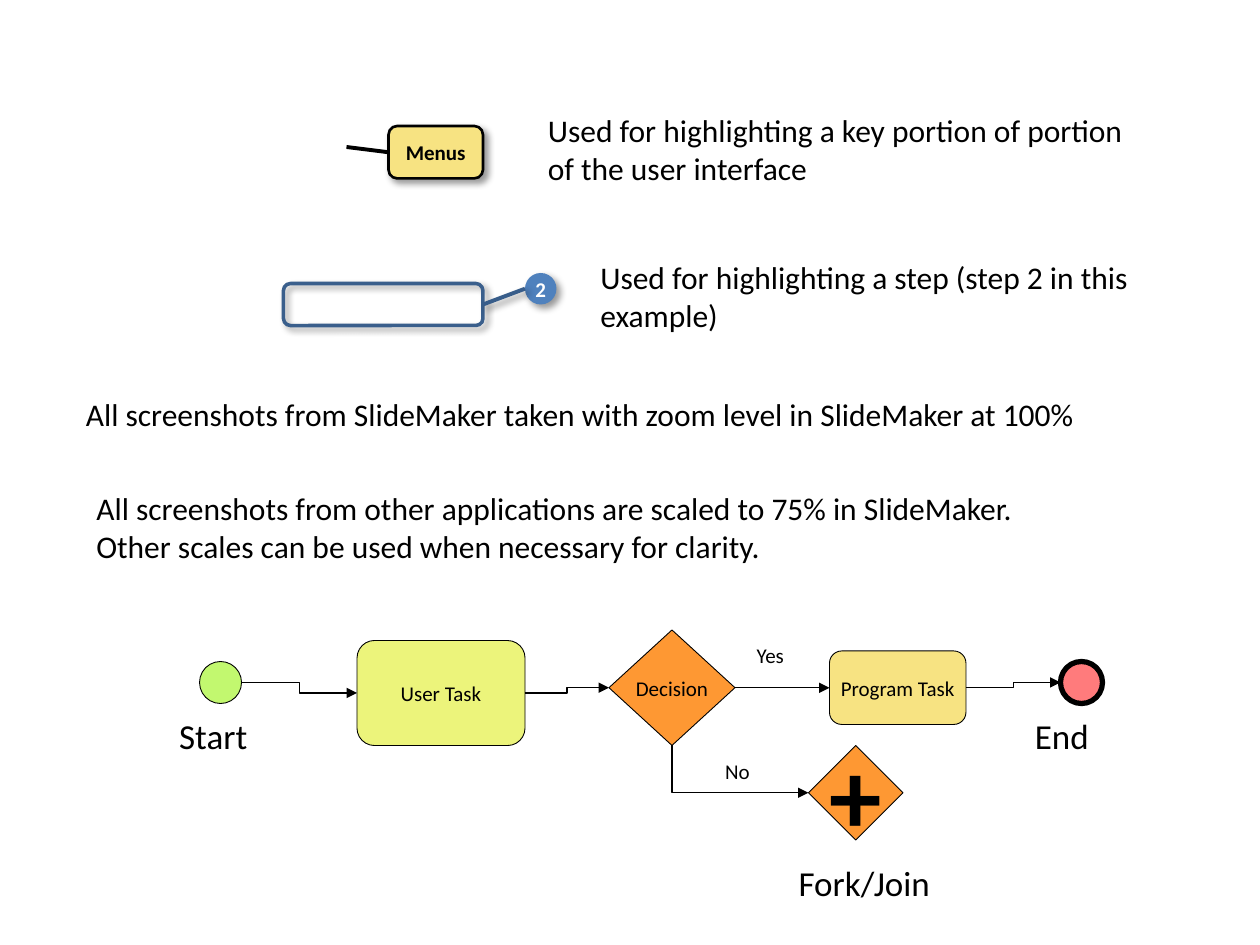
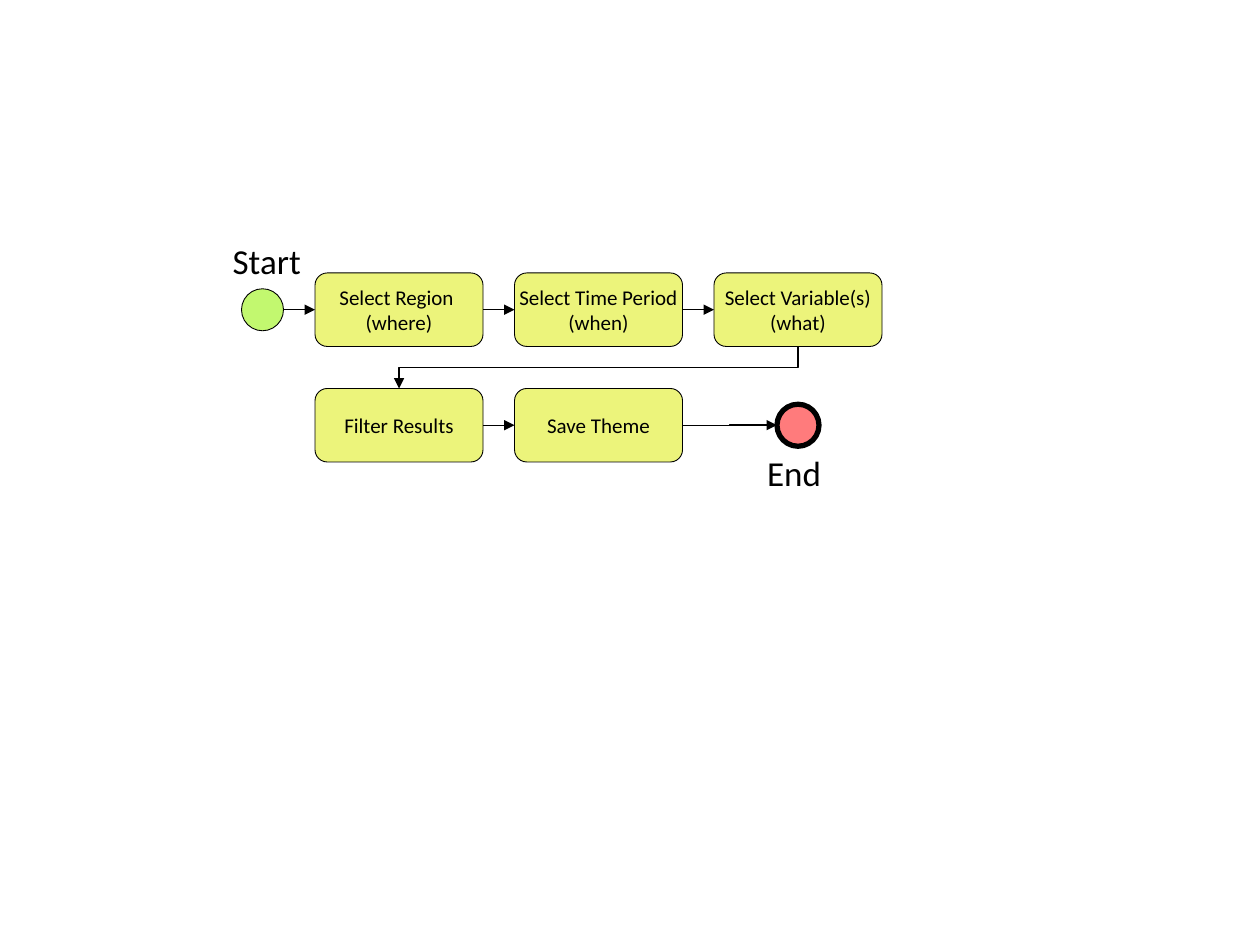
from dataclasses import dataclass

from lxml.etree import SubElement
from pptx import Presentation
from pptx.dml.color import RGBColor as RGB
from pptx.enum.shapes import MSO_CONNECTOR as LINE, MSO_SHAPE as SHAPE
from pptx.enum.text import MSO_ANCHOR as ANCHOR, MSO_AUTO_SIZE as FIT, PP_ALIGN as ALIGN
from pptx.oxml.ns import qn
from pptx.util import Cm, Pt

UNIT = 2.54 / 12                # the drawing grid: a twelfth of an inch, in cm
SIDES = ["top", "left", "bottom", "right"]


def grid(n):
    return Cm(n * UNIT)


@dataclass(frozen=True)
class Theme:
    font: str = "Calibri"
    ink: str = "000000"
    white: str = "FFFFFF"
    step: str = "4F81BD"
    step_frame: str = "3A5F8C"
    step_line: str = "385D8A"
    program: str = "F7E382"
    user: str = "ECF47B"
    decision: str = "FE9833"
    start: str = "C2F86F"
    end: str = "FF7B7C"
    small: float = 12
    body: float = 18
    label: float = 20
    plus: float = 60
    thin: float = 0.5
    flow: float = 0.75
    pointer: float = 2.25
    thick: float = 3


class Board:
    """Holds the style and the slide being drawn; places are in grid units."""

    def __init__(self, prs, theme):
        self.prs, self.t, self.slide = prs, theme, None

    def new_slide(self):
        self.slide = self.prs.slides.add_slide(self.prs.slide_layouts[6])

    # Shared formatting
    def set_text(self, sp, text, size, color=None, bold=False, align=ALIGN.LEFT,
                 flow=False, **frame):
        tf = sp.text_frame
        tf.text = text
        frame["word_wrap"] = frame.get("word_wrap", False)
        if flow:
            frame.update(margin_left=Cm(0.86), margin_right=Cm(0.86),
                         margin_top=Cm(0.43), margin_bottom=Cm(0.43))
        for name, value in frame.items():
            setattr(tf, name, value)
        font = {"name": self.t.font, "size": Pt(size), "bold": bold}
        for p in tf.paragraphs:
            p.alignment = align
            for r in p.runs:
                for name, value in font.items():
                    setattr(r.font, name, value)
                r.font.color.rgb = RGB.from_string(color or self.t.ink)

    def stroke(self, line, color, width):
        line.color.rgb = RGB.from_string(color)
        line.width = Pt(width)

    def effects(self, sp, shadow):
        """Replace the inherited shadow by none, or by a soft one."""
        sp_pr = sp.element.spPr
        for old in sp_pr.findall(qn("a:effectLst")):
            sp_pr.remove(old)
        effects = SubElement(sp_pr, qn("a:effectLst"))
        if shadow:
            outer = SubElement(effects, qn("a:outerShdw"), blurRad=str(Pt(4)),
                               dist=str(Pt(3)), dir="2700000", algn="tl", rotWithShape="0")
            black = SubElement(outer, qn("a:srgbClr"), val=self.t.ink)
            SubElement(black, qn("a:alpha"), val="40000")

    # Elements
    def shape(self, kind, box, fill=None, line=None, width=0.5, shadow=False):
        sp = self.slide.shapes.add_shape(kind, *map(grid, box))
        if fill:
            sp.fill.solid()
            sp.fill.fore_color.rgb = RGB.from_string(fill)
        else:
            sp.fill.background()
        if line:
            self.stroke(sp.line, line, width)
        else:
            sp.line.fill.background()
        self.effects(sp, shadow)
        return sp

    def text(self, box, text, size, flow=False):
        sp = self.slide.shapes.add_textbox(*map(grid, box))
        self.set_text(sp, text, size, flow=flow, auto_size=FIT.SHAPE_TO_FIT_TEXT)

    def label(self, x, y, w, text):
        self.text((x, y, w, 8.1), text, self.t.label, flow=True)

    def answer(self, x, y, text):
        self.text((x, y, 10.8, 6.6), text, self.t.small, flow=True)

    def task(self, box, text, fill):
        sp = self.shape(SHAPE.FLOWCHART_ALTERNATE_PROCESS, box, fill, self.t.ink, self.t.thin)
        self.set_text(sp, text, self.t.small, align=ALIGN.CENTER, flow=True,
                      vertical_anchor=ANCHOR.MIDDLE)
        return sp

    def decision(self, box, text, size, bold=False):
        sp = self.shape(SHAPE.FLOWCHART_DECISION, box, self.t.decision, self.t.ink, self.t.thin)
        self.set_text(sp, text, size, bold=bold, align=ALIGN.CENTER,
                      vertical_anchor=ANCHOR.MIDDLE)
        return sp

    def event(self, x, y, fill, width):
        return self.shape(SHAPE.FLOWCHART_CONNECTOR, (x, y, 4, 4), fill, self.t.ink, width)

    def pointer(self, ends, color, shadow=False):
        cx = self.slide.shapes.add_connector(LINE.STRAIGHT, *map(grid, ends))
        self.stroke(cx.line, color, self.t.pointer)
        self.effects(cx, shadow)

    def side(self, sp, side):
        mid_x, mid_y = sp.left + sp.width // 2, sp.top + sp.height // 2
        return {"top": (mid_x, sp.top), "left": (sp.left, mid_y),
                "bottom": (mid_x, sp.top + sp.height),
                "right": (sp.left + sp.width, mid_y)}[side]

    def link(self, a, b, leave="right", enter="left"):
        """Elbow arrow glued to one side of a and one side of b."""
        (x1, y1), (x2, y2) = self.side(a, leave), self.side(b, enter)
        cx = self.slide.shapes.add_connector(LINE.ELBOW, x1, y1, x2, y2)
        self.stroke(cx.line, self.t.ink, self.t.flow)
        SubElement(cx.element.spPr.find(qn("a:ln")), qn("a:tailEnd"), type="triangle")
        self.effects(cx, False)
        if leave == "bottom":
            self.turn_down(cx, x1, y1, x2, y2, enter)
        glue = cx.element.find(".//" + qn("p:cNvCxnSpPr"))
        for tag, sp, side in (("a:stCxn", a, leave), ("a:endCxn", b, enter)):
            # A circle has eight sites, the other shapes four
            step = 2 if sp.auto_shape_type == SHAPE.FLOWCHART_CONNECTOR else 1
            SubElement(glue, qn(tag), id=str(sp.shape_id), idx=str(SIDES.index(side) * step))

    def turn_down(self, cx, x1, y1, x2, y2, enter):
        """Turn a connector by a quarter so that it starts downwards."""
        w, h = y2 - y1, abs(x2 - x1)
        place = {"left": (x1 + x2 - w) // 2, "top": (y1 + y2 - h) // 2,
                 "width": w, "height": h}
        for name, value in place.items():
            setattr(cx, name, value)
        xfrm = cx.element.spPr.find(qn("a:xfrm"))
        xfrm.attrib.pop("flipH", None)
        if x2 > x1:
            xfrm.set("flipH", "1")
        xfrm.set("rot", "16200000" if x2 > x1 else "5400000")
        if enter == "left":
            cx.element.spPr.find(qn("a:prstGeom")).set("prst", "bentConnector2")


prs = Presentation()
prs.slide_width, prs.slide_height = Cm(25.4), Cm(19.05)
t = Theme()
b = Board(prs, t)

# Slide 1: legend of callouts
b.new_slide()
b.shape(SHAPE.ROUNDED_RECTANGLE, (27, 27, 19, 4), line=t.step_frame, width=2, shadow=True)
number = b.shape(SHAPE.OVAL, (50, 26, 3, 3), t.step, shadow=True)
b.set_text(number, "2", t.small, t.white, True, ALIGN.CENTER, vertical_anchor=ANCHOR.MIDDLE)
b.pointer((50, 27.5, 46, 29), t.step_line, shadow=True)
menus = b.shape(SHAPE.ROUNDED_RECTANGLE, (37, 12, 9, 5), t.program, t.ink, 1.5, shadow=True)
b.set_text(menus, "Menus", t.small, bold=True, align=ALIGN.CENTER,
           vertical_anchor=ANCHOR.MIDDLE, word_wrap=True)
b.pointer((37, 14.5, 33, 14), t.ink)

for box, text in [
    ((56, 24, 53.3, 8.5), "Used for highlighting a step (step 2 in this\vexample)"),
    ((51, 10, 57.8, 8.5),
     "Used for highlighting a key portion of portion\vof the user interface"),
    ((7, 37, 97.7, 4.8),
     "All screenshots from SlideMaker taken with zoom level in SlideMaker at 100%"),
    ((8, 46, 92, 8.5),
     "All screenshots from other applications are scaled to 75% in SlideMaker. \v"
     "Other scales can be used when necessary for clarity."),
]:
    b.text(box, text, t.body)

# Slide 1: legend of the flow chart
start = b.event(19, 63, t.start, t.thin)
user = b.task((34, 61, 16, 10), "User Task", t.user)
choice = b.decision((58, 60, 12, 11), "Decision", t.small)
program = b.task((79, 62, 13, 7), "Program Task", t.program)
end = b.event(101, 63, t.end, t.thick)
fork = b.decision((77, 71, 9, 9), "+", t.plus, bold=True)
chain = [start, user, choice, program, end]
for source, target in zip(chain, chain[1:]):
    b.link(source, target)
b.link(choice, fork, leave="bottom")
b.label(13, 66, 14.9, "Start")
b.label(94.5, 66, 13.4, "End")
b.label(72, 80, 20.9, "Fork/Join")
b.answer(68, 60, "Yes")
b.answer(65, 71, "No")

# Slide 2: theme workflow, tasks in rows of three
b.new_slide()
steps = ["Select Region \v(where)", "Select Time Period\n(when)", "Select Variable(s)\n(what)",
         "Filter Results", "Save Theme"]
tasks = [b.task((30 + 19 * (i % 3), 26 + 11 * (i // 3), 16, 7), text, t.user)
         for i, text in enumerate(steps)]
start = b.event(23, 27.5, t.start, t.thin)
end = b.event(74, 38.5, t.end, t.thick)
for row in ([start] + tasks[:3], tasks[3:] + [end]):
    for source, target in zip(row, row[1:]):
        b.link(source, target)
b.link(tasks[2], tasks[3], leave="bottom", enter="top")
b.label(18.1, 20.8, 14.9, "Start")
b.label(69, 41, 13.4, "End")

prs.save("out.pptx")
